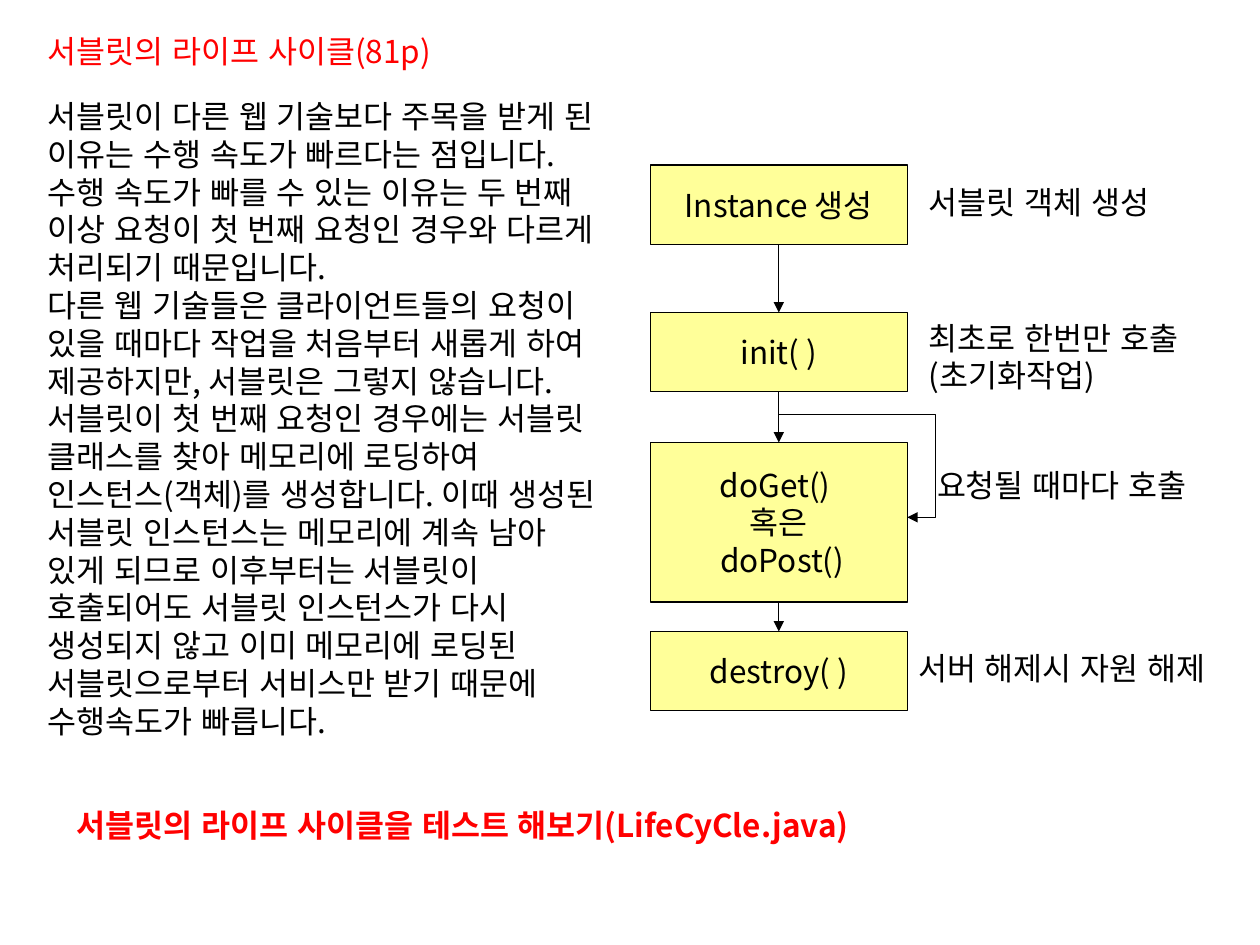
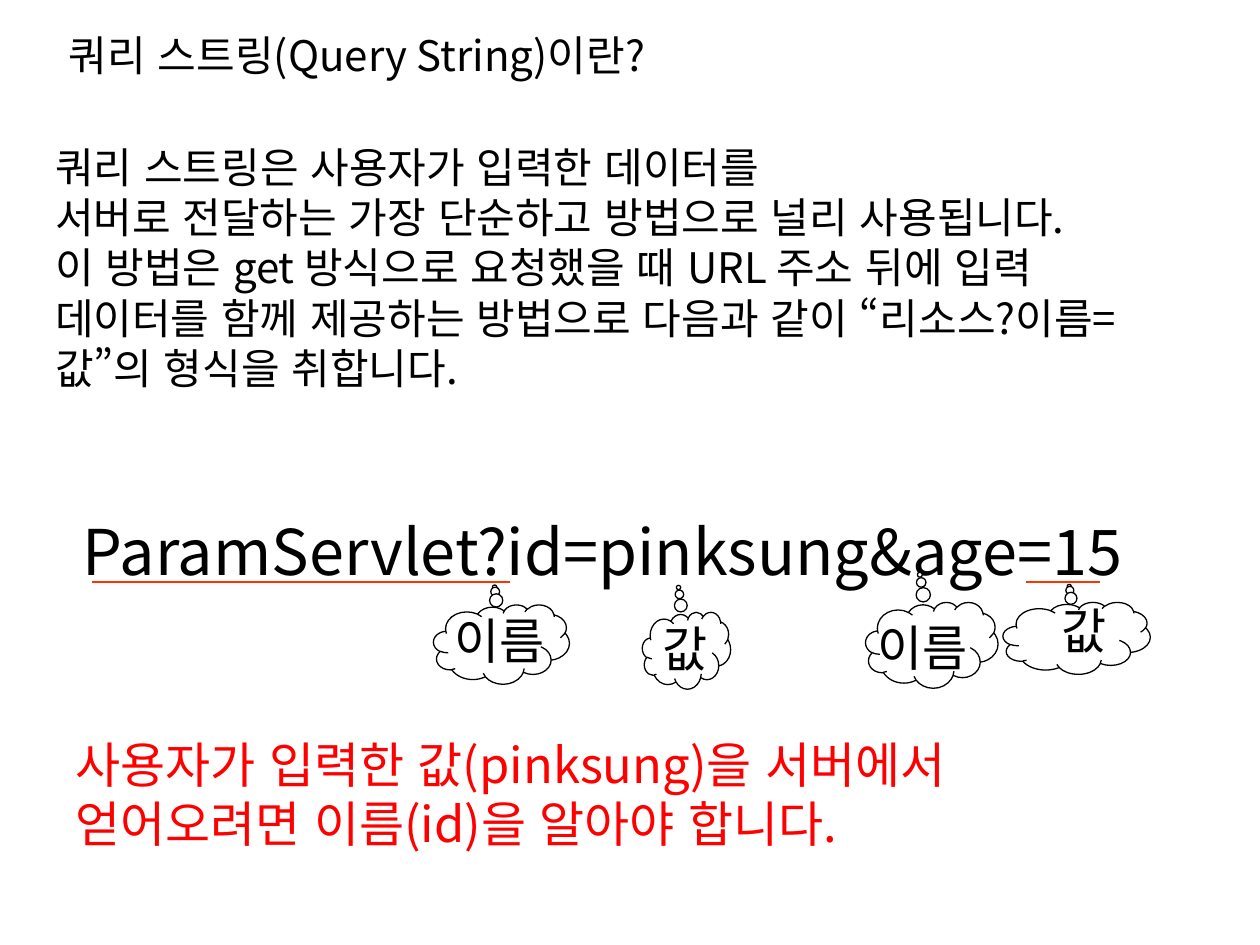
import lxml.etree
import pptx
import pptx.dml.color
import pptx.enum.lang
import pptx.enum.shapes
import pptx.enum.text
import pptx.oxml.ns
import pptx.util

Cm = pptx.util.Cm
Pt = pptx.util.Pt
SHAPES = pptx.enum.shapes.MSO_SHAPE
LINKS = pptx.enum.shapes.MSO_CONNECTOR
ALIGN = pptx.enum.text.PP_ALIGN
qn = pptx.oxml.ns.qn

# Shared look
FONT = "Noto Sans CJK KR"
BLACK, WHITE, RED, ORANGE, YELLOW = "000000", "FFFFFF", "FF0000", "FF3300", "FFFF99"

# Life cycle flow: box top, box height, step text (cm)
FLOW_LEFT, FLOW_WIDTH = 13.11, 5.18
FLOW_STEPS = [
    (3.33, 1.6, "Instance 생성"),
    (6.3, 1.6, "init( )"),
    (8.92, 3.22, "doGet() \n혹은\n doPost()"),
    (12.73, 1.6, "destroy( )"),
]
# Left, top, width, text (cm)
STEP_NOTES = [
    (18.47, 3.56, 6.1, "서블릿 객체 생성"),
    (18.47, 6.3, 6.1, "최초로 한번만 호출\v(초기화작업)"),
    (18.64, 9.27, 6.1, "요청될 때마다 호출"),
    (18.26, 12.95, 6.83, "서버 해제시 자원 해제"),
]
LIFE_CYCLE_TEXT = (
    "서블릿이 다른 웹 기술보다 주목을 받게 된 이유는 수행 속도가 빠르다는 점입니다. "
    "수행 속도가 빠를 수 있는 이유는 두 번째 이상 요청이 첫 번째 요청인 경우와 다르게 "
    "처리되기 때문입니다.\n"
    "다른 웹 기술들은 클라이언트들의 요청이 있을 때마다 작업을 처음부터 새롭게 하여 "
    "제공하지만, 서블릿은 그렇지 않습니다. 서블릿이 첫 번째 요청인 경우에는 서블릿 "
    "클래스를 찾아 메모리에 로딩하여 인스턴스(객체)를 생성합니다. 이때 생성된 서블릿 "
    "인스턴스는 메모리에 계속 남아 있게 되므로 이후부터는 서블릿이 호출되어도 서블릿 "
    "인스턴스가 다시 생성되지 않고 이미 메모리에 로딩된 서블릿으로부터 서비스만 받기 "
    "때문에 수행속도가 빠릅니다."
)

# An underscore here stands for a space that must not break
QUERY_TEXT = (
    "쿼리 스트링은 사용자가_입력한 데이터를 서버로_전달하는_가장_단순하고 방법으로 "
    "널리_사용됩니다. 이_방법은_get 방식으로 요청했을_때 URL_주소_뒤에_입력 "
    "데이터를_함께_제공하는_방법으로_다음과_같이 “리소스?이름=값”의_형식을_취합니다."
).replace("_", chr(160))

# Cloud place, pointer, label place, label (cm)
WIDE_POINTER, TALL_POINTER = (-0.05, -0.72), (-0.09, -0.82)
CLOUDS = [
    ((12.95, 12.34, 1.78, 1.55), TALL_POINTER, (12.83, 12.34, 2.29, 1.45), " 값"),
    ((8.74, 12.19, 2.74, 1.6), WIDE_POINTER, (8.92, 12.19, 3.53, 1.45), "이름"),
    ((20.22, 12.14, 2.97, 1.45), WIDE_POINTER, (20.88, 11.99, 2.84, 1.68), " 값"),
    ((17.45, 12.14, 2.67, 1.73), TALL_POINTER, (17.45, 12.32, 4.27, 1.45), "이름"),
]


def color(hex_value):
    return pptx.dml.color.RGBColor.from_string(hex_value)


def write_text(frame, text, size=18, ink=BLACK, bold=False, align=ALIGN.LEFT):
    for number, line in enumerate(text.split("\n")):
        para = frame.add_paragraph() if number else frame.paragraphs[0]
        para.text = line
        para.alignment = align
        for span in para.runs:
            span.font.size = Pt(size)
            span.font.bold = bold
            span.font.color.rgb = color(ink)
            span.font.name = FONT
            span.font.language_id = pptx.enum.lang.MSO_LANGUAGE_ID.KOREAN
            # Hangul takes the East Asian font
            lxml.etree.SubElement(span.font._element, qn("a:ea"), typeface=FONT)


def add_text(page, place, text, wrap=True, **style):
    box = page.shapes.add_textbox(*map(Cm, place))
    box.text_frame.word_wrap = wrap
    box.text_frame.auto_size = pptx.enum.text.MSO_AUTO_SIZE.SHAPE_TO_FIT_TEXT
    write_text(box.text_frame, text, **style)


def add_outlined(page, kind, place, fill):
    shape = page.shapes.add_shape(kind, *map(Cm, place))
    shape.shadow.inherit = False
    shape.fill.solid()
    shape.fill.fore_color.rgb = color(fill)
    shape.line.color.rgb = color(BLACK)
    shape.line.width = Pt(0.75)
    return shape


def add_step(page, top, height, text):
    box = add_outlined(page, SHAPES.RECTANGLE, (FLOW_LEFT, top, FLOW_WIDTH, height), YELLOW)
    box.text_frame.word_wrap = False
    box.text_frame.vertical_anchor = pptx.enum.text.MSO_ANCHOR.MIDDLE
    write_text(box.text_frame, text, align=ALIGN.CENTER)


def add_cloud(page, place, pointer, label_place, label):
    cloud = add_outlined(page, SHAPES.CLOUD_CALLOUT, place, WHITE)
    cloud.adjustments[0], cloud.adjustments[1] = pointer
    add_text(page, label_place, label, size=28)


def add_line(page, ends, kind=LINKS.STRAIGHT, ink=BLACK, width=0.75, arrow=False):
    link = page.shapes.add_connector(kind, *map(Cm, ends))
    link.line.color.rgb = color(ink)
    link.line.width = Pt(width)
    if arrow:
        lxml.etree.SubElement(link.line._get_or_add_ln(), qn("a:tailEnd"), type="triangle")
    lxml.etree.SubElement(link.element.spPr, qn("a:effectLst"))
    return link


def add_loop(page, ends, bend):
    loop = add_line(page, ends, kind=LINKS.ELBOW, arrow=True)
    guides = loop.element.spPr.find(qn("a:prstGeom")).find(qn("a:avLst"))
    lxml.etree.SubElement(guides, qn("a:gd"), name="adj1", fmla=f"val {round(bend * 100000)}")


def build_life_cycle(page):
    # Flow boxes and the arrows between them
    for step in FLOW_STEPS:
        add_step(page, *step)
    middle = FLOW_LEFT + FLOW_WIDTH / 2
    for (top, height, _), (next_top, _, _) in zip(FLOW_STEPS, FLOW_STEPS[1:]):
        add_line(page, (middle, top + height, middle, next_top), arrow=True)

    # Repeated requests come back to the service step
    add_loop(page, (middle, 8.36, FLOW_LEFT + FLOW_WIDTH, 10.43), 1.22)
    for left, top, width, note in STEP_NOTES:
        add_text(page, (left, top, width, 1.17), note)

    # Title, explanation and exercise
    add_text(page, (0.71, 0.53, 8.86, 1.02), "서블릿의 라이프 사이클(81p)", wrap=False, ink=RED)
    add_text(page, (0.71, 1.83, 11.58, 13.34), LIFE_CYCLE_TEXT)
    add_text(page, (1.3, 16.13, 16.94, 1.02),
             "서블릿의 라이프 사이클을 테스트 해보기(LifeCyCle.java)",
             wrap=False, ink=RED, bold=True)


def build_query_string(page):
    # Title and explanation
    add_text(page, (1.14, 0.48, 12.65, 1.27), "쿼리 스트링(Query String)이란?", wrap=False, size=24)
    add_text(page, (0.86, 2.72, 22.35, 5.38), QUERY_TEXT, size=24)

    # Example address with its parts named; the address lies over the first two clouds
    for cloud in CLOUDS[:2]:
        add_cloud(page, *cloud)
    add_text(page, (1.42, 10.21, 23.09, 1.8), "ParamServlet?id=pinksung&age=15", size=36)
    for cloud in CLOUDS[2:]:
        add_cloud(page, *cloud)
    for start, end in ((1.85, 10.29), (20.68, 22.17)):
        add_line(page, (start, 11.73, end, 11.73), ink=ORANGE, width=1.5)

    # Conclusion
    add_text(page, (1.27, 14.68, 21.95, 2.64),
             "사용자가 입력한 값(pinksung)을 서버에서 얻어오려면 이름(id)을 알아야 합니다.",
             size=28, ink=RED)


def main():
    deck = pptx.Presentation()
    deck.slide_width, deck.slide_height = Cm(25.4), Cm(19.05)
    for build in (build_life_cycle, build_query_string):
        build(deck.slides.add_slide(deck.slide_layouts[6]))
    deck.save("out.pptx")


if __name__ == "__main__":
    main()
